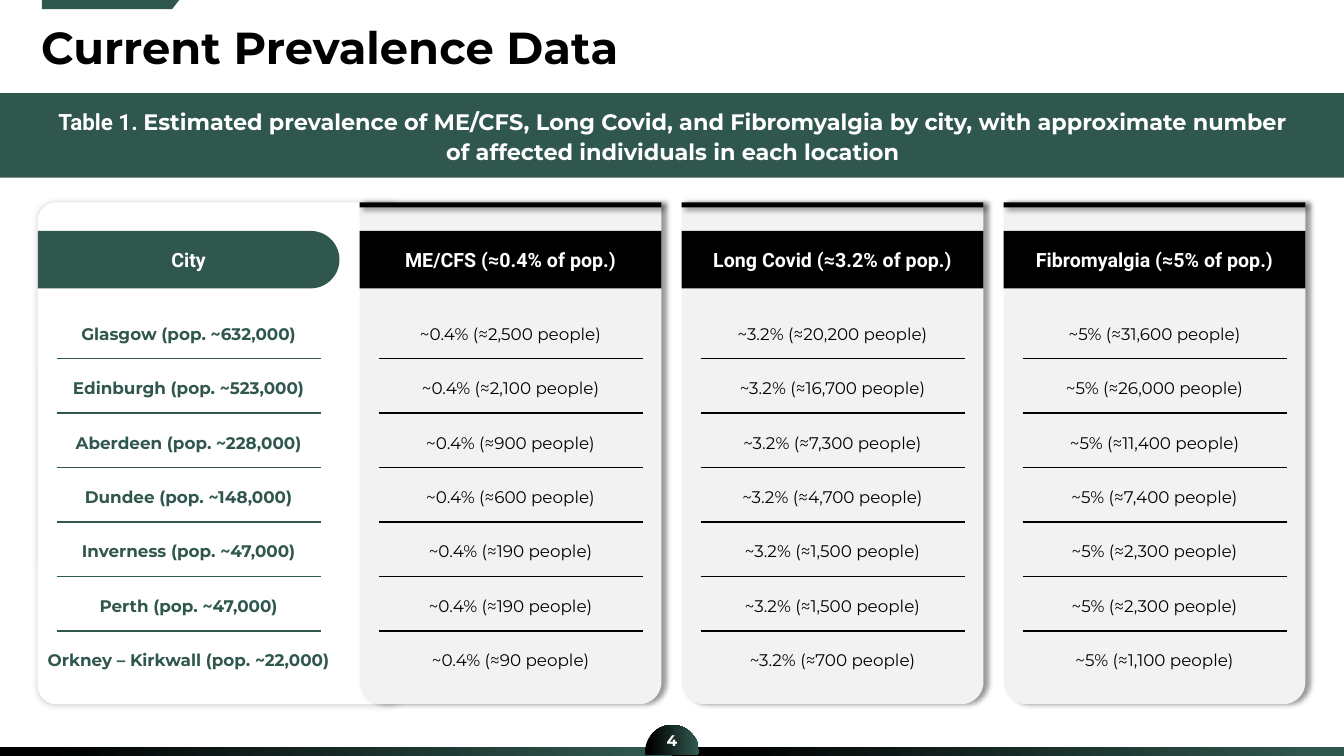
import math
from lxml import etree
from pptx import Presentation
from pptx import util as u
from pptx.dml import color as dml
from pptx.enum import shapes, text
from pptx.oxml import ns

TITLE = "Current Prevalence Data"
CAPTION_LABEL = "Table 1. "
CAPTION = ("Estimated prevalence of ME/CFS, Long Covid, and Fibromyalgia by city, "
           "with approximate number of affected individuals in each location")
PAGE = "4"
CITIES = ("City", [
    "Glasgow (pop. ~632,000)", "Edinburgh (pop. ~523,000)", "Aberdeen (pop. ~228,000)",
    "Dundee (pop. ~148,000)", "Inverness (pop. ~47,000)", "Perth (pop. ~47,000)",
    "Orkney – Kirkwall (pop. ~22,000)"])
CONDITIONS = [
    ("ME/CFS", "0.4%", ["2,500", "2,100", "900", "600", "190", "190", "90"]),
    ("Long Covid", "3.2%", ["20,200", "16,700", "7,300", "4,700", "1,500", "1,500", "700"]),
    ("Fibromyalgia", "5%", ["31,600", "26,000", "11,400", "7,400", "2,300", "2,300", "1,100"]),
]
COLUMNS = [CITIES] + [
    (f"{name} (≈{rate} of pop.)", [f"~{rate} (≈{count} people)" for count in counts])
    for name, rate, counts in CONDITIONS]

GREEN, BLACK, WHITE, GREY = "30574E", "000000", "FFFFFF", "F2F2F2"
SLIDE_W, SLIDE_H = 960, 540
LEFT, PITCH, CARD_W = 27, 230, 215.5
CARD_TOP, CARD_H = 144.5, 358.5
HEAD_TOP, HEAD_H = 165, 41
BODY_TOP, BODY_H = 222.5, 260.5
RULE_TOP, RULE_STEP, RULE_INSET = 256.1, 38.9, 13.4
ROW_GAP = 19.45

TITLE_FONT = dict(size=u.Pt(32), name="Montserrat", bold=True)
CAPTION_FONT = dict(size=u.Pt(16), name="Montserrat", bold=True)
LABEL_FONT = dict(size=u.Pt(16), name="Roboto", bold=True)
HEAD_FONT = dict(size=u.Pt(14), name="Roboto", bold=True)
CITY_FONT = dict(size=u.Pt(12), name="Montserrat", bold=True)
VALUE_FONT = dict(size=u.Pt(12), name="Montserrat", bold=False)
PAGE_FONT = dict(size=u.Pt(11), name="Montserrat", bold=True)
CENTER = dict(alignment=text.PP_ALIGN.CENTER)
MIDDLE = dict(vertical_anchor=text.MSO_ANCHOR.MIDDLE, word_wrap=True)

deck = Presentation()
deck.slide_width, deck.slide_height = u.Pt(SLIDE_W), u.Pt(SLIDE_H)
slide = deck.slides.add_slide(deck.slide_layouts[6])


def rgb(hex_string):
    return dml.RGBColor.from_string(hex_string)


def apply(target, values):
    for key, value in values.items():
        setattr(target, key, value)


def paint(shape, fill=None):
    shape.shadow.inherit = False
    shape.line.fill.background()
    if fill:
        shape.fill.solid()
        shape.fill.fore_color.rgb = rgb(fill)
        return shape
    shape.fill.gradient()
    shape.fill.gradient_angle = 0
    for stop, position, tone in zip(shape.fill.gradient_stops, (0.07, 0.97), (BLACK, GREEN)):
        stop.position = position
        stop.color.rgb = rgb(tone)
    return shape


def block(kind, left, top, width, height, fill=None, corners=()):
    shape = slide.shapes.add_shape(kind, *map(u.Pt, (left, top, width, height)))
    for index, corner in enumerate(corners):
        shape.adjustments[index] = corner
    return paint(shape, fill)


def outline(points, fill=None):
    start, *rest = [(u.Pt(x), u.Pt(y)) for x, y in points]
    builder = slide.shapes.build_freeform(*start)
    builder.add_line_segments(rest, close=True)
    return paint(builder.convert_to_shape(), fill)


def half_circle(x, y, radius, first_degree):
    angles = [math.radians(first_degree + 5 * step) for step in range(37)]
    return [(x + radius * math.cos(a), y + radius * math.sin(a)) for a in angles]


def cast(shape, alpha, blur, distance, degrees):
    effects = shape.element.spPr.find(ns.qn("a:effectLst"))
    shadow = etree.SubElement(
        effects, ns.qn("a:outerShdw"), blurRad=str(u.Pt(blur)), dist=str(u.Pt(distance)),
        dir=str(degrees * 60000), algn="ctr", rotWithShape="0")
    tone = etree.SubElement(shadow, ns.qn("a:srgbClr"), val=BLACK)
    etree.SubElement(tone, ns.qn("a:alpha"), val=str(alpha * 1000))


def write(paragraph, words, font, tone, layout):
    apply(paragraph, layout)
    run = paragraph.add_run()
    run.text = words
    apply(run.font, font)
    run.font.color.rgb = rgb(tone)


def label(shape, words, font, tone, frame=MIDDLE, layout=CENTER):
    apply(shape.text_frame, frame)
    write(shape.text_frame.paragraphs[0], words, font, tone, layout)


def text_box(left, top, width, height):
    return slide.shapes.add_textbox(*map(u.Pt, (left, top, width, height)))


def footer():
    for left in (SLIDE_W / 2, 0):
        block(shapes.MSO_SHAPE.RECTANGLE, left, 533.5, SLIDE_W / 2, 6.5)
    dome = half_circle(SLIDE_W / 2, 537, 19.2, 180)
    badge = outline(dome + [(499, 539.3), (461, 539.3)])
    flush = dict.fromkeys(("margin_left", "margin_right", "margin_top", "margin_bottom"), 0)
    label(badge, PAGE, PAGE_FONT, WHITE, MIDDLE | flush)


def heading():
    outline([(30, 0), (128, 0), (123, 6.5), (30, 6.5)], GREEN)
    label(text_box(22.3, 15.8, 756, 39.6), TITLE, TITLE_FONT, BLACK,
          layout=dict(line_spacing=0.9))
    banner = block(shapes.MSO_SHAPE.RECTANGLE, 0, 66.5, SLIDE_W, 60.5, GREEN)
    label(banner, CAPTION_LABEL, LABEL_FONT, WHITE,
          MIDDLE | dict(margin_left=u.Pt(36), margin_right=u.Pt(34.8)),
          CENTER | dict(line_spacing=1.1))
    write(banner.text_frame.paragraphs[0], CAPTION, CAPTION_FONT, WHITE, {})


def city_card(left):
    card = block(shapes.MSO_SHAPE.ROUNDED_RECTANGLE, left, CARD_TOP, 263.5, CARD_H,
                 WHITE, (0.05,))
    cast(card, 20, 5, 0, 0)
    radius = HEAD_H / 2
    cap = half_circle(left + CARD_W - radius, HEAD_TOP + radius, radius, -90)
    return outline([(left, HEAD_TOP)] + cap + [(left, HEAD_TOP + HEAD_H)], GREEN)


def condition_card(left):
    card = block(shapes.MSO_SHAPE.ROUND_2_SAME_RECTANGLE, left, CARD_TOP, CARD_W, CARD_H,
                 GREY, (0, 0.074))
    cast(card, 40, 4, 3, 0)
    head = block(shapes.MSO_SHAPE.RECTANGLE, left, HEAD_TOP, CARD_W, HEAD_H, BLACK)
    edge = block(shapes.MSO_SHAPE.RECTANGLE, left, CARD_TOP, CARD_W, 3.6, BLACK)
    cast(edge, 40, 4, 3, 45)
    return head


def rule(left, right, y, tone):
    line = slide.shapes.add_connector(
        shapes.MSO_CONNECTOR.STRAIGHT, *map(u.Pt, (left, y, right, y)))
    line.line.width = u.Pt(1)
    line.line.color.rgb = rgb(tone)
    etree.SubElement(line.element.spPr, ns.qn("a:effectLst"))


def column(index, header, rows):
    left = LEFT + index * PITCH
    draw_card, font, tone = ((condition_card, VALUE_FONT, BLACK) if index
                             else (city_card, CITY_FONT, GREEN))
    label(draw_card(left), header, HEAD_FONT, WHITE)
    body = text_box(left, BODY_TOP, CARD_W, BODY_H).text_frame
    body.word_wrap = False
    for number, row in enumerate(rows):
        paragraph = body.add_paragraph() if number else body.paragraphs[0]
        gap = dict(space_before=u.Pt(ROW_GAP)) if number else {}
        write(paragraph, row, font, tone, CENTER | dict(line_spacing=1.35) | gap)
    for number in range(len(rows) - 1):
        rule(left + RULE_INSET, left + CARD_W - RULE_INSET,
             RULE_TOP + number * RULE_STEP, tone)


def main():
    footer()
    heading()
    for index, (header, rows) in enumerate(COLUMNS):
        column(index, header, rows)
    deck.save("out.pptx")


if __name__ == "__main__":
    main()
